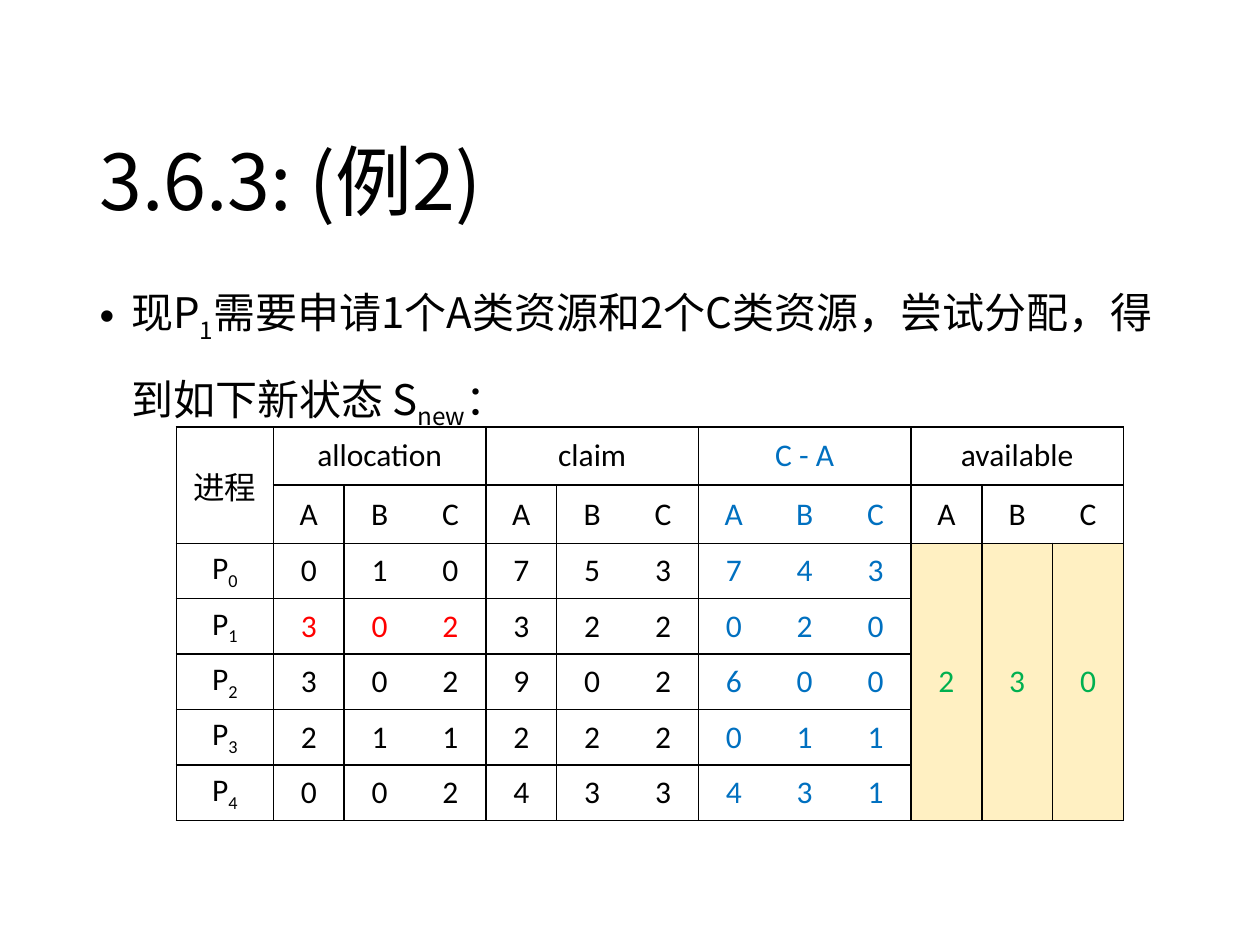
from lxml import etree
from pptx import Presentation
from pptx.dml.color import RGBColor
from pptx.enum.text import MSO_ANCHOR, PP_ALIGN
from pptx.oxml.ns import qn
from pptx.util import Inches, Pt

LEFT, CENTER = PP_ALIGN.LEFT, PP_ALIGN.CENTER
TOP, MIDDLE, BOTTOM = MSO_ANCHOR.TOP, MSO_ANCHOR.MIDDLE, MSO_ANCHOR.BOTTOM

CJK, LATIN = "Noto Sans CJK SC", "Calibri"
BLACK, BLUE, RED, GREEN, CREAM = "000000", "0070C0", "FF0000", "00B050", "FFF0C2"

# Text is a list of (words, is subscript) pairs
TITLE = [("3.6.3: (例2)", False)]
BODY = [("现P", False), ("1", True),
        ("需要申请1个A类资源和2个C类资源，尝试分配，得到如下新状态 S", False),
        ("new", True), ("：", False)]

CORNER = "进程"
GROUPS = [("allocation", BLACK), ("claim", BLACK), ("C - A", BLUE), ("available", BLACK)]
KINDS = "ABC"
# One row per process: allocation, claim, C - A
STATE = [
    ("010", "753", "743"),
    ("302", "322", "020"),
    ("302", "902", "600"),
    ("211", "222", "011"),
    ("002", "433", "431"),
]
FREE = "230"
CHANGED = (1, 0)  # process and group of the new allocation

COLS = [0.77] + [0.5625] * 12
ROWS = [0.46] * 2 + [0.44] * 5


def color(code):
    return RGBColor.from_string(code)


def write(frame, parts, size, font, tone=BLACK, align=LEFT):
    par = frame.paragraphs[0]
    par.alignment = align
    for words, sub in parts:
        run = par.add_run()
        run.text = words
        props = run.font._element
        etree.SubElement(props, qn("a:ea"), typeface=CJK)
        if sub:
            props.set("baseline", "-25000")
    par.font.size = Pt(size)
    par.font.name = font
    par.font.color.rgb = color(tone)
    return par


def place(shape, left, top, width, height, anchor):
    shape.left, shape.top = Inches(left), Inches(top)
    shape.width, shape.height = Inches(width), Inches(height)
    shape.text_frame.vertical_anchor = anchor


def edge(cell, sides):
    """Draw black lines on the named sides (L, R, T, B) and none on the rest."""
    props = cell._tc.get_or_add_tcPr()
    for pos, side in enumerate("LRTB"):
        line = etree.Element(qn("a:ln" + side), w=str(Pt(1)))
        if side in sides:
            fill = etree.SubElement(line, qn("a:solidFill"))
            etree.SubElement(fill, qn("a:srgbClr"), val=BLACK)
        else:
            etree.SubElement(line, qn("a:noFill"))
        props.insert(pos, line)


def fill_cell(grid, row, col, parts, tone=BLACK, span=(1, 1)):
    cell = grid.cell(row, col)
    if span != (1, 1):
        cell.merge(grid.cell(row + span[0] - 1, col + span[1] - 1))
    cell.vertical_anchor = MIDDLE
    write(cell.text_frame, parts, 18, LATIN, tone, CENTER)
    return cell


def sides_of(row, col):
    """Lines bound each group; a line also follows A, except under C - A."""
    if row == 0 or col == 0 or (row > 1 and col > 9):
        return "LRTB"
    group, kind = divmod(col - 1, 3)
    ruled = group != 2
    left = "L" if kind == 0 or (kind == 1 and ruled) else ""
    right = "R" if kind == 2 or (kind == 0 and ruled) else ""
    return left + right + "TB"


def add_grid(slide):
    frame = slide.shapes.add_table(len(ROWS), len(COLS), Inches(1.4), Inches(3.39),
                                   Inches(sum(COLS)), Inches(sum(ROWS)))
    grid = frame.table
    grid.first_row = grid.horz_banding = False
    for col, width in zip(grid.columns, COLS):
        col.width = Inches(width)
    for row, height in zip(grid.rows, ROWS):
        row.height = Inches(height)
    for row in range(len(ROWS)):
        for col in range(len(COLS)):
            cell = grid.cell(row, col)
            cell.fill.background()
            edge(cell, sides_of(row, col))

    fill_cell(grid, 0, 0, [(CORNER, False)], span=(2, 1))
    for group, (name, tone) in enumerate(GROUPS):
        start = 1 + 3 * group
        fill_cell(grid, 0, start, [(name, False)], tone, (1, 3))
        for kind, letter in enumerate(KINDS):
            fill_cell(grid, 1, start + kind, [(letter, False)], tone)
    for proc, sets in enumerate(STATE):
        fill_cell(grid, proc + 2, 0, [("P", False), (str(proc), True)])
        for group, counts in enumerate(sets):
            tone = RED if (proc, group) == CHANGED else GROUPS[group][1]
            for kind, count in enumerate(counts):
                fill_cell(grid, proc + 2, 1 + 3 * group + kind, [(count, False)], tone)
    for kind, count in enumerate(FREE):
        cell = fill_cell(grid, 2, 10 + kind, [(count, False)], GREEN, (len(STATE), 1))
        cell.fill.solid()
        cell.fill.fore_color.rgb = color(CREAM)


def main():
    deck = Presentation()
    deck.slide_width, deck.slide_height = Inches(10), Inches(7.5)
    slide = deck.slides.add_slide(deck.slide_layouts[1])
    title, body = slide.placeholders

    place(title, 0.69, 0.4, 8.62, 1.45, BOTTOM)
    write(title.text_frame, TITLE, 44, CJK).line_spacing = 0.9

    place(body, 0.69, 2, 8.62, 4.76, TOP)
    par = write(body.text_frame, BODY, 24, CJK)
    par.line_spacing = 1.5
    par.space_before = Pt(0)
    props = par._p.get_or_add_pPr()
    props.set("marL", str(Inches(0.25)))
    props.set("indent", str(Inches(-0.25)))

    add_grid(slide)
    deck.save("out.pptx")


if __name__ == "__main__":
    main()
